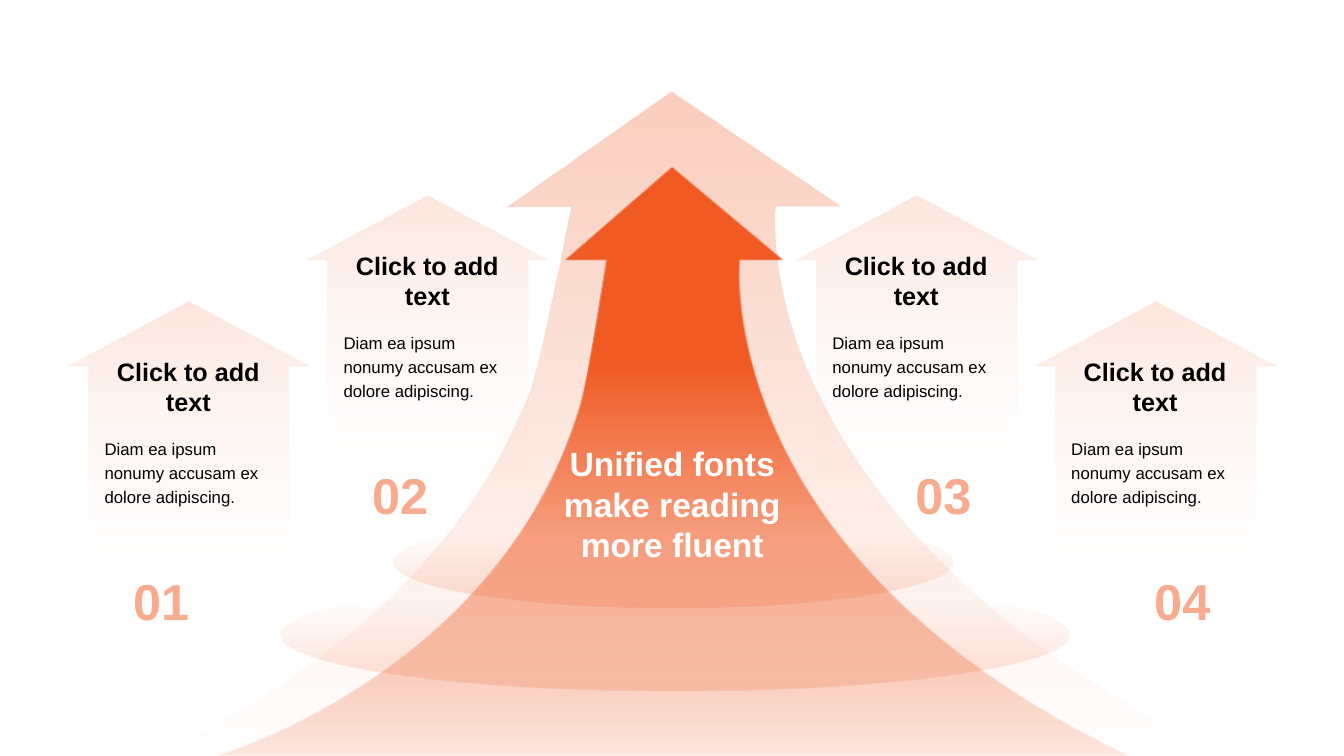
import pptx
import pptx.dml.color
import pptx.enum.shapes
import pptx.enum.text
import pptx.oxml.ns
import pptx.util
from lxml import etree

Pt = pptx.util.Pt
KIND = pptx.enum.shapes.MSO_SHAPE
ALIGN = pptx.enum.text.PP_ALIGN
ANCHOR = pptx.enum.text.MSO_ANCHOR
qn = pptx.oxml.ns.qn


def tint(color, shade, solid=100):
    """Set a hex colour and its opacity in percent."""
    color.rgb = pptx.dml.color.RGBColor.from_string(shade)
    if solid < 100:
        alpha = etree.SubElement(color._color._xClr, qn("a:alpha"))
        alpha.set("val", str(solid * 1000))


def write(box, text, size, shade, solid=100, bold=True,
          align=ALIGN.CENTER, anchor=ANCHOR.MIDDLE, space=None):
    frame = box.text_frame
    frame.text = text
    frame.word_wrap = True
    frame.auto_size = pptx.enum.text.MSO_AUTO_SIZE.NONE
    frame.vertical_anchor = anchor
    line = frame.paragraphs[0]
    line.alignment = align
    line.line_spacing = space
    font = line.runs[0].font
    font.name, font.size, font.bold = "Arial", Pt(size), bold
    tint(font.color, shade, solid)


deck = pptx.Presentation()
deck.slide_width, deck.slide_height = Pt(960), Pt(540)
slide = deck.slides.add_slide(deck.slide_layouts[5])
shapes = slide.shapes
painted = []

# Central arrows: one point is a corner, three points are a Bézier curve
outer = [
    [(479.5, 65.5)], [(601.4, 147.7)], [(553.9, 147.7)],
    [(553.9, 147.7), (526.3, 362.2), (862.6, 534.2)],
    [(874.8, 540)], [(108, 540)], [(114.5, 537.1)],
    [(210.2, 491), (329.8, 409.7), (379.4, 275.8)],
    [(388.8, 246.2), (407.8, 147.7), (407.8, 147.7)],
    [(362.2, 147.7)],
]
inner = [
    [(155.5, 540)],
    [(155.5, 540), (357.8, 481.7), (414.7, 289.4)],
    [(421.2, 265.7), (433.4, 185.9), (433.4, 185.9)],
    [(403.9, 185.9)], [(480.2, 119.5)], [(559.4, 185.9)], [(528.5, 185.9)],
    [(528.5, 185.9), (506.9, 396.7), (805.7, 540)],
]
outer_fade = [(0, "F69C7B", 50), (100, "F69C7B", 0)]
inner_fade = [(33, "F05A23", 100), (100, "F69C7B", 25)]
for outline, fade in [(outer, outer_fade), (inner, inner_fade)]:
    dots = [(Pt(x), Pt(y)) for part in outline for x, y in part]
    build = shapes.build_freeform(*dots[0])
    build.add_line_segments(dots[1:])
    arrow = build.convert_to_shape()
    painted.append((arrow, fade))

    # Join each run of three line segments into one curve
    trace = next(arrow._element.iter(qn("a:path")))
    moves = iter(list(trace))
    for part in outline:
        pieces = [next(moves) for dot in part]
        if len(part) == 3:
            curve = etree.Element(qn("a:cubicBezTo"))
            pieces[0].addprevious(curve)
            for piece in pieces:
                curve.append(piece[0])
                trace.remove(piece)

# Rings around the foot of the arrow
ring_fade = [(19, "F05A23", 0), (100, "F05A23", 19)]
for place in [(281.5, 369.4, 398.9, 64.8), (200.2, 413.3, 563.8, 79.9)]:
    ring = shapes.add_shape(KIND.OVAL, *map(Pt, place))
    painted.append((ring, ring_fade))

# Four side arrows with their texts
card_fade = [(0, "F05A23", 15), (88, "FFFFFF", 0)]
low, high = 215.3, 139.7
near, far = 19.4, 58.3
cards = [("01", 48.2, low, near), ("02", 218.9, high, near),
         ("03", 568.1, high, far), ("04", 738.7, low, far)]
for label, left, top, shift in cards:
    card = shapes.add_shape(KIND.UP_ARROW, Pt(left), Pt(top), Pt(172.8), Pt(254.9))
    card.adjustments[0], card.adjustments[1] = 0.827, 0.268
    painted.append((card, card_fade))

    body = shapes.add_textbox(Pt(left + near), Pt(top + 91.4), Pt(133.9), Pt(87.1))
    write(body, "Diam ea ipsum nonumy accusam ex dolore adipiscing.", 12, "000000",
          bold=False, align=ALIGN.LEFT, anchor=ANCHOR.TOP, space=1.2)
    head = shapes.add_textbox(Pt(left + near), Pt(top + 35.3), Pt(133.9), Pt(50.4))
    write(head, "Click to add text", 18, "000000", anchor=ANCHOR.BOTTOM)
    count = shapes.add_textbox(Pt(left + shift), Pt(top + 180.7), Pt(95), Pt(65.5))
    write(count, label, 36, "F05A23", solid=50)

# Top-to-bottom gradients
for shape, fade in painted:
    shape.shadow.inherit = False
    shape.line.fill.background()
    shape.fill.gradient()
    shape.fill.gradient_angle = 270
    for stop, (place, shade, solid) in zip(shape.fill.gradient_stops, fade):
        stop.position = place / 100
        tint(stop.color, shade, solid)

# Title in front of the central arrow
title = shapes.title
title.left, title.top, title.width, title.height = map(Pt, (393.1, 287.8, 174.2, 144))
write(title, "Unified fonts make reading more fluent", 24, "FFFFFF")
shapes._spTree.append(title._element)

deck.save("out.pptx")
